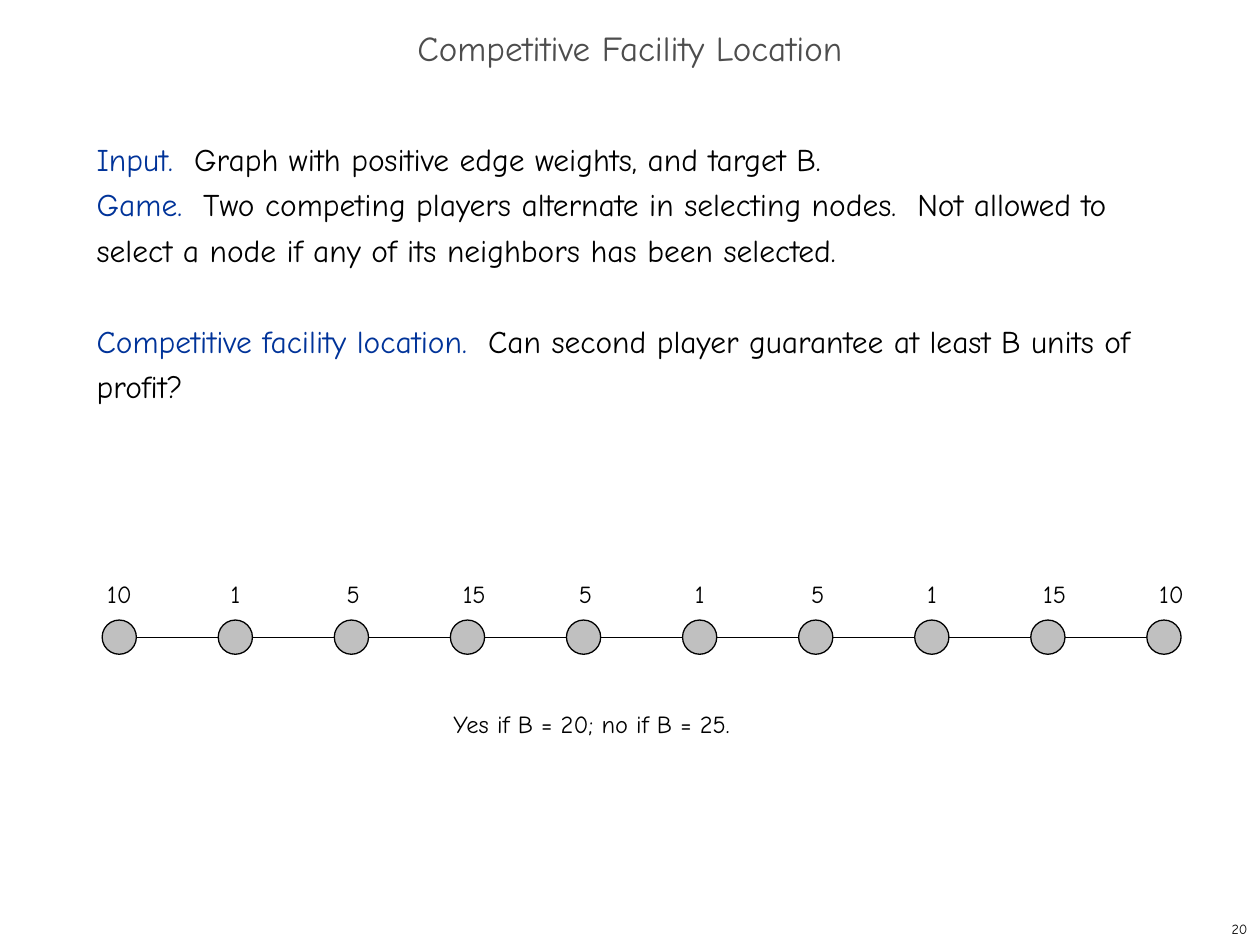
from lxml import etree
from pptx import Presentation
from pptx import util as u
from pptx.dml.color import RGBColor
from pptx.enum import shapes, text
from pptx.oxml.ns import qn

FONT = "Comic Neue"
COLORS = {"title": "4D4D4D", "term": "003399", "ink": "000000", "node": "C0C0C0"}


def add_run(p, words, size, color="ink"):
    r = p.add_run()
    r.text = words
    r.font.name = FONT
    r.font.size = u.Pt(size)
    r.font.color.rgb = RGBColor.from_string(COLORS[color])


def add_box(left, top, width, height, wrap=False):
    tf = s.shapes.add_textbox(u.Cm(left), u.Cm(top), u.Cm(width), u.Cm(height)).text_frame
    tf.word_wrap = wrap
    return tf


prs = Presentation()
prs.slide_width, prs.slide_height = u.Cm(25.4), u.Cm(19.05)
s = prs.slides.add_slide(prs.slide_layouts[5])

title = s.shapes.title
title.left, title.top, title.width, title.height = u.Cm(0), u.Cm(0.43), u.Cm(25.4), u.Cm(1.27)
title.text_frame.vertical_anchor = text.MSO_ANCHOR.MIDDLE
p = title.text_frame.paragraphs[0]
p.alignment = text.PP_ALIGN.CENTER
p.line_spacing = 0.7
add_run(p, "Competitive Facility Location", 20, "title")

statements = [
    ("Input.  ", "Graph with positive edge weights, and target B.", 0),
    ("Game.  ", "Two competing players alternate in selecting nodes.  Not allowed to "
     "select a node if any of its neighbors has been selected.", 0),
    ("Competitive facility location.  ",
     "Can second player guarantee at least B units of profit?", 26),
]
tf = add_box(1.7, 2.54, 21.8, 15.04, wrap=True)
for i, (term, words, gap) in enumerate(statements):
    p = tf.paragraphs[0] if i == 0 else tf.add_paragraph()
    p.line_spacing = u.Pt(26)
    p.space_before = u.Pt(gap)
    add_run(p, term, 18, "term")
    add_run(p, words, 18)

weights = [10, 1, 5, 15, 5, 1, 5, 1, 15, 10]
node_left, node_top, node_size, pitch = 2.06, 12.5, 0.69, 2.34
nodes = []
for i, weight in enumerate(weights):
    left = node_left + i * pitch
    sp = s.shapes.add_shape(shapes.MSO_SHAPE.OVAL, u.Cm(left), u.Cm(node_top),
                            u.Cm(node_size), u.Cm(node_size))
    sp.shadow.inherit = False
    sp.fill.solid()
    sp.fill.fore_color.rgb = RGBColor.from_string(COLORS["node"])
    sp.line.color.rgb = RGBColor.from_string(COLORS["ink"])
    sp.line.width = u.Pt(0.75)
    nodes.append(sp)
    label_left = left if i else left - 0.15
    tf = add_box(label_left, 11.55, 1 if weight > 9 else 0.75, 0.84)
    add_run(tf.paragraphs[0], str(weight), 14)

edge_y = u.Cm(node_top + node_size / 2)
for a, b in zip(nodes, nodes[1:]):
    edge = s.shapes.add_connector(shapes.MSO_CONNECTOR.STRAIGHT,
                                  a.left + a.width, edge_y, b.left, edge_y)
    edge.line.color.rgb = RGBColor.from_string(COLORS["ink"])
    edge.line.width = u.Pt(0.75)
    etree.SubElement(edge._element.spPr, qn("a:effectLst"))

tf = add_box(8.89, 14.17, 6.12, 0.84)
add_run(tf.paragraphs[0], "Yes if B = 20; no if B = 25.", 14)

tf = add_box(20.12, 18.42, 5.28, 0.63, wrap=True)
tf.vertical_anchor = text.MSO_ANCHOR.MIDDLE
tf.paragraphs[0].alignment = text.PP_ALIGN.RIGHT
add_run(tf.paragraphs[0], "20", 8)

prs.save("out.pptx")
